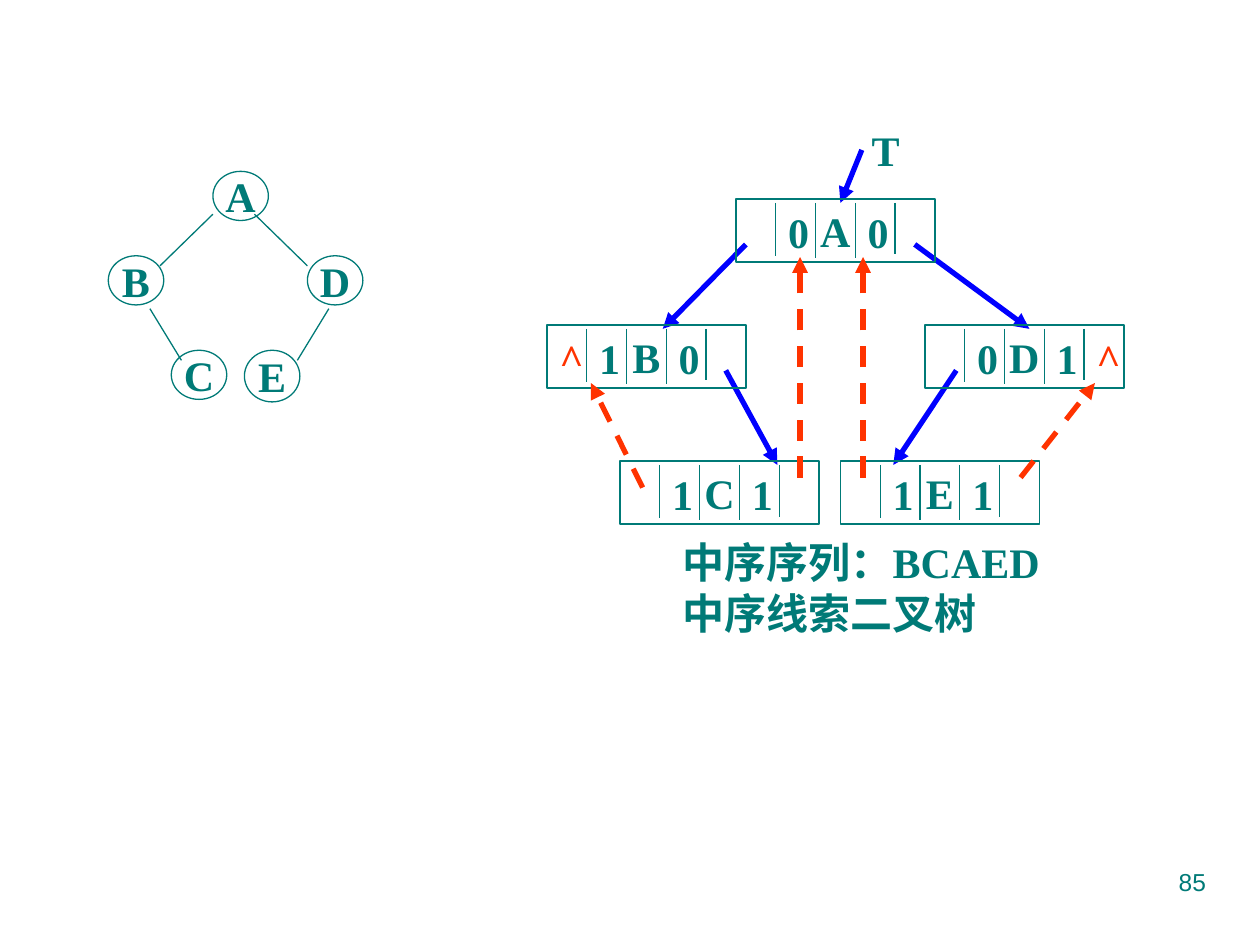
from lxml import etree
from pptx import Presentation
from pptx.dml.color import RGBColor
from pptx.enum.dml import MSO_LINE
from pptx.enum.shapes import MSO_CONNECTOR, MSO_SHAPE
from pptx.enum.text import MSO_ANCHOR, PP_ALIGN
from pptx.oxml.ns import qn
from pptx.util import Inches, Pt

STRAIGHT, DASH = MSO_CONNECTOR.STRAIGHT, MSO_LINE.DASH
OVAL, RECTANGLE = MSO_SHAPE.OVAL, MSO_SHAPE.RECTANGLE
TOP, MIDDLE = MSO_ANCHOR.TOP, MSO_ANCHOR.MIDDLE
LEFT, CENTER, RIGHT = PP_ALIGN.LEFT, PP_ALIGN.CENTER, PP_ALIGN.RIGHT
TEAL, BLUE, ORANGE = "007A77", "0000FF", "FF3300"

deck = Presentation()
deck.slide_width, deck.slide_height = Inches(10), Inches(7.5)
page = deck.slides.add_slide(deck.slide_layouts[6])

# The page is a grid of 100 columns by 75 rows
COLUMN, ROW = deck.slide_width / 100, deck.slide_height / 75


def add_label(text, left, top, width, height, outline=None, color=TEAL, size=24,
              font="Times New Roman", align=CENTER, anchor=MIDDLE, wrap=False):
    area = [round(left * COLUMN), round(top * ROW), round(width * COLUMN), round(height * ROW)]
    if outline is None:
        box = page.shapes.add_textbox(*area)
    else:
        box = page.shapes.add_shape(outline, *area)
        box.shadow.inherit = False
        box.fill.background()
        box.line.color.rgb = RGBColor.from_string(TEAL)
        box.line.width = Pt(0.75)
    frame = box.text_frame
    frame.word_wrap = wrap
    frame.vertical_anchor = anchor
    frame.text = text
    for para in frame.paragraphs:
        para.alignment = align
        for span in para.runs:
            span.font.name = font
            span.font.size = Pt(size)
            span.font.bold = font != "Arial"
            span.font.color.rgb = RGBColor.from_string(color)


def add_line(x1, y1, x2, y2, color=TEAL, dash=None):
    line = page.shapes.add_connector(STRAIGHT, round(x1 * COLUMN), round(y1 * ROW),
                                     round(x2 * COLUMN), round(y2 * ROW))
    line.line.color.rgb = RGBColor.from_string(color)
    line.line.width = Pt(0.75 if color == TEAL else 3)
    if dash:
        line.line.dash_style = dash
    properties = line._element.spPr
    if color != TEAL:
        etree.SubElement(properties.find(qn("a:ln")), qn("a:tailEnd"), type="triangle")
    etree.SubElement(properties, qn("a:effectLst"))


# Binary tree
tree_nodes = [("A", 16.9, 13.6, 3.9), ("B", 8.6, 20.3, 3.9), ("C", 13.6, 27.8, 3.9),
              ("D", 24.4, 20.3, 3.9), ("E", 19.4, 27.8, 4.1)]
for name, left, top, height in tree_nodes:
    add_label(name, left, top, 4.4, height, outline=OVAL)

tree_edges = [(16.9, 17, 12.7, 21.1), (20.2, 17, 24.4, 21.1),
              (11.9, 24.5, 14.4, 28.6), (26.1, 24.5, 23.6, 28.6)]
for edge in tree_edges:
    add_line(*edge)

# Child pointers and root pointer
child_pointers = [(59.2, 19.4, 52.6, 26.1), (72.6, 19.4, 81.7, 26.1),
                  (57.6, 29.4, 61.7, 36.9), (75.9, 29.4, 70.9, 36.9),
                  (68.4, 11.9, 66.7, 16.1)]
for pointer in child_pointers:
    add_line(*pointer, color=BLUE)
add_label("T", 68.2, 9.4, 4.2, 5, align=LEFT, anchor=TOP)

# Linked records of five fields: left link, left flag, data, right flag, right link
RECORD_WIDTH, RECORD_HEIGHT = 15.8, 5
FIELD = RECORD_WIDTH / 5
DIVIDER_HEIGHTS = [4.2, 4.4, 4.4, 4.1]
records = [(58.4, 15.8, ["", "0", "A", "0", ""]),
           (43.4, 25.8, ["^", "1", "B", "0", ""]),
           (73.4, 25.8, ["", "0", "D", "1", "^"]),
           (49.2, 36.6, ["", "1", "C", "1", ""]),
           (66.7, 36.6, ["", "1", "E", "1", ""])]
for left, top, fields in records:
    add_label(fields[2], left, top, RECORD_WIDTH, RECORD_HEIGHT, outline=RECTANGLE)
    for number, height in enumerate(DIVIDER_HEIGHTS, start=1):
        x = left + number * FIELD
        add_line(x, top + 0.3, x, top + 0.3 + height)
    for number, value in enumerate(fields):
        if value and number != 2:
            add_label(value, left + number * FIELD, top + 0.1, FIELD, RECORD_HEIGHT,
                      color=ORANGE if value == "^" else TEAL)

# Threads to predecessors and successors
threads = [(51, 38.7, 46.9, 30.4), (63.5, 37.9, 63.5, 20.4),
           (68.5, 37.9, 68.5, 20.4), (81, 37.9, 86.9, 30.4)]
for thread in threads:
    add_line(*thread, color=ORANGE, dash=DASH)

# Caption and page number
add_label("中序序列：BCAED\n中序线索二叉树", 53.2, 42.1, 31.1, 9, align=LEFT, anchor=TOP)
add_label("85", 71.7, 68.3, 25, 5.2, size=14, font="Arial", align=RIGHT, anchor=TOP, wrap=True)

deck.save("out.pptx")
